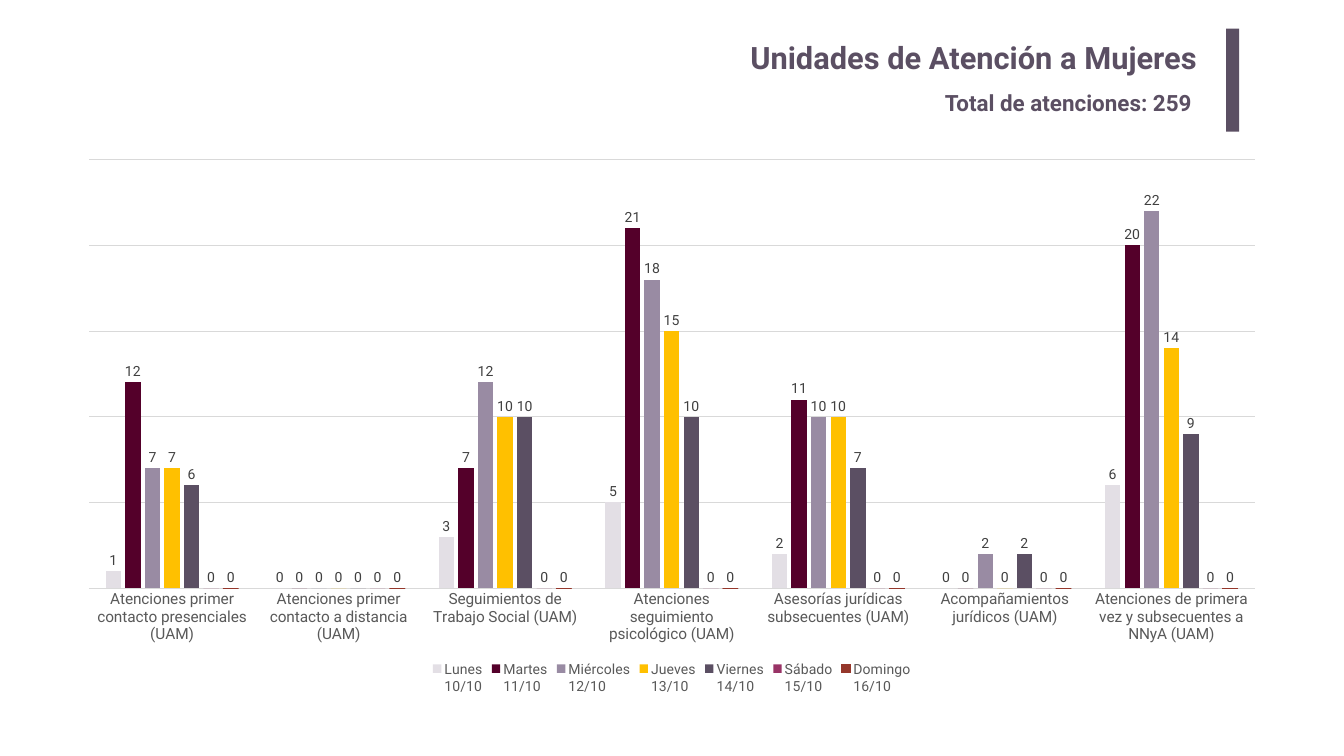
from lxml import etree
from pptx import Presentation
from pptx.chart.data import CategoryChartData
from pptx.dml.color import RGBColor
from pptx.enum.chart import XL_CHART_TYPE, XL_LABEL_POSITION, XL_LEGEND_POSITION, XL_TICK_MARK
from pptx.enum.shapes import MSO_SHAPE
from pptx.enum.text import PP_ALIGN
from pptx.oxml.ns import qn
from pptx.util import Inches, Pt

COLORS = {"plum": "5B4F63", "grid": "D9D9D9", "axis": "595959", "label": "404040"}
CATEGORIES = [
    "Atenciones primer contacto presenciales (UAM)",
    "Atenciones primer contacto a distancia (UAM)",
    "Seguimientos de Trabajo Social (UAM)",
    "Atenciones seguimiento psicológico (UAM)",
    "Asesorías jurídicas subsecuentes (UAM)",
    "Acompañamientos jurídicos (UAM)",
    "Atenciones de primera vez y subsecuentes a NNyA (UAM)",
]
DAYS = [
    ("Lunes\n10/10", [1, 0, 3, 5, 2, 0, 6], "E3DFE5"),
    ("Martes\n11/10", [12, 0, 7, 21, 11, 0, 20], "54002A"),
    ("Miércoles\n12/10", [7, 0, 12, 18, 10, 2, 22], "998BA3"),
    ("Jueves\n13/10", [7, 0, 10, 15, 10, 0, 14], "FFC000"),
    ("Viernes\n14/10", [6, 0, 10, 10, 7, 2, 9], "5B4F63"),
    ("Sábado\n15/10", [0] * 7, "993366"),
    ("Domingo\n16/10", [0] * 7, "95372B"),
]


def style_font(font, size, color, bold=False):
    font.name = "Roboto"
    font.size = Pt(size)
    font.bold = bold
    font.color.rgb = RGBColor.from_string(color)


def style_line(line, color):
    line.width = Pt(0.75)
    line.color.rgb = RGBColor.from_string(color)


prs = Presentation()
prs.slide_width, prs.slide_height = Inches(26.67), Inches(15)
slide = prs.slides.add_slide(prs.slide_layouts[6])

headings = [
    ("Unidades de Atención a Mujeres", (3.66, 0.67, 20.3, 1.02), 44, PP_ALIGN.RIGHT, 0.2),
    ("Total de atenciones: 259", (18.65, 1.71, 5.31, 0.64), 32, PP_ALIGN.LEFT, 0.1),
]
for text, place, size, align, inset in headings:
    frame = slide.shapes.add_textbox(*map(Inches, place)).text_frame
    frame.word_wrap = True
    frame.margin_left = frame.margin_right = Inches(inset)
    frame.margin_top = frame.margin_bottom = Inches(inset / 2)
    paragraph = frame.paragraphs[0]
    paragraph.alignment = align
    run = paragraph.add_run()
    run.text = text
    style_font(run.font, size, COLORS["plum"], True)

accent = slide.shapes.add_shape(
    MSO_SHAPE.RECTANGLE, Inches(24.33), Inches(0.57), Inches(0.26), Inches(2.04))
accent.shadow.inherit = False
accent.fill.solid()
accent.fill.fore_color.rgb = RGBColor.from_string(COLORS["plum"])
accent.line.fill.background()

data = CategoryChartData()
data.categories = CATEGORIES
for name, values, color in DAYS:
    data.add_series(name, values)
chart = slide.shapes.add_chart(
    XL_CHART_TYPE.COLUMN_CLUSTERED, Inches(1.28), Inches(2.95),
    Inches(24.1), Inches(10.9), data).chart
chart.has_title = False
style_font(chart.font, 10, "000000")

chart.has_legend = True
chart.legend.position = XL_LEGEND_POSITION.BOTTOM
chart.legend.include_in_layout = False
style_font(chart.legend.font, 20, COLORS["axis"])

category_axis = chart.category_axis
category_axis.major_tick_mark = XL_TICK_MARK.NONE
style_font(category_axis.tick_labels.font, 22, COLORS["axis"])
style_line(category_axis.format.line, COLORS["grid"])

value_axis = chart.value_axis
value_axis.minimum_scale, value_axis.maximum_scale = 0, 25
value_axis.major_unit = 5
value_axis.has_major_gridlines = True
style_line(value_axis.major_gridlines.format.line, COLORS["grid"])
value_axis.visible = False

plot = chart.plots[0]
plot.gap_width, plot.overlap = 219, -27
plot.vary_by_categories = False
for series, (name, values, color) in zip(plot.series, DAYS):
    series.invert_if_negative = False
    series.format.fill.solid()
    series.format.fill.fore_color.rgb = RGBColor.from_string(color)
    labels = series.data_labels
    labels.show_value = True
    labels.position = XL_LABEL_POSITION.OUTSIDE_END
    style_font(labels.font, 20, COLORS["label"])
style_line(plot.series[-1].format.line, DAYS[-1][2])

plot_area = chart.element.find(".//" + qn("c:plotArea"))
layout = plot_area.find(qn("c:layout"))
if layout is None:
    layout = etree.Element(qn("c:layout"))
    plot_area.insert(0, layout)
manual = etree.SubElement(layout, qn("c:manualLayout"))
for tag, value in [("layoutTarget", "inner"), ("xMode", "edge"), ("yMode", "edge"),
                   ("x", "0.02"), ("y", "0.02"), ("w", "0.96"), ("h", "0.78")]:
    etree.SubElement(manual, qn("c:" + tag)).set("val", value)

prs.save("out.pptx")
